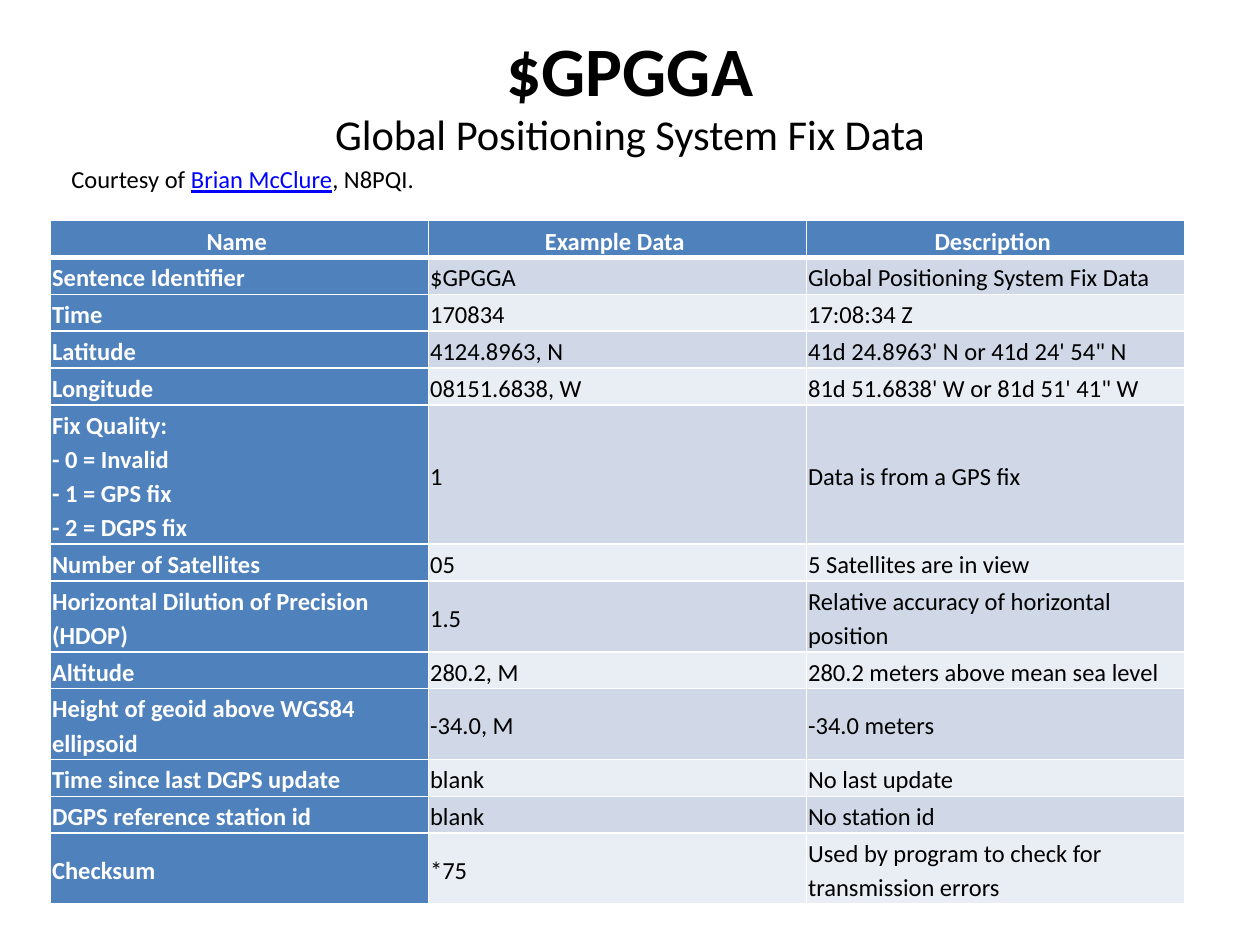
from lxml import etree
from pptx import Presentation
from pptx.dml.color import RGBColor
from pptx.enum.text import MSO_ANCHOR, PP_ALIGN
from pptx.oxml.ns import qn
from pptx.util import Cm, Pt

MIDDLE = MSO_ANCHOR.MIDDLE
LEFT, CENTER = PP_ALIGN.LEFT, PP_ALIGN.CENTER

COLORS = {
    "text": "000000",
    "white": "FFFFFF",
    "link": "0000FF",
    "header": "4F81BD",
    "band_dark": "D0D8E8",
    "band_light": "E9EDF4",
}

HEADER = ["Name ", "Example Data ", "Description "]
FIELDS = [
    ("Sentence Identifier", "$GPGGA", "Global Positioning System Fix Data"),
    ("Time", "170834", "17:08:34 Z"),
    ("Latitude", "4124.8963, N", "41d 24.8963' N or 41d 24' 54\" N"),
    ("Longitude", "08151.6838, W", "81d 51.6838' W or 81d 51' 41\" W"),
    ("Fix Quality:\n- 0 = Invalid\n- 1 = GPS fix\n- 2 = DGPS fix", "1", "Data is from a GPS fix"),
    ("Number of Satellites", "05", "5 Satellites are in view"),
    ("Horizontal Dilution of Precision (HDOP)", "1.5", "Relative accuracy of horizontal position"),
    ("Altitude", "280.2, M", "280.2 meters above mean sea level"),
    ("Height of geoid above WGS84 ellipsoid", "-34.0, M", "-34.0 meters"),
    ("Time since last DGPS update", "blank", "No last update"),
    ("DGPS reference station id", "blank", "No station id"),
    ("Checksum", "*75", "Used by program to check for transmission errors"),
]
LINE_COUNTS = [1, 1, 1, 1, 1, 4, 1, 2, 1, 2, 1, 1, 2]


def write(p, text, size=14, color="text", bold=False, underline=False, font="Calibri"):
    for i, line in enumerate(text.split("\n")):
        if i:
            p.add_line_break()
        r = p.add_run()
        r.text = line
        r.font.name = font
        r.font.size = Pt(size)
        r.font.bold = bold
        r.font.underline = underline
        r.font.color.rgb = RGBColor.from_string(COLORS[color])


class SlideBuilder:
    def __init__(self, slide):
        self.s = slide

    def text_box(self, left, top, width, height, lines, align=LEFT, spacing=1, insets=(0.13, 0.13)):
        sp = self.s.shapes.add_textbox(Cm(left), Cm(top), Cm(width), Cm(height))
        tf = sp.text_frame
        tf.word_wrap = True
        tf.vertical_anchor = MIDDLE
        tf.margin_top, tf.margin_bottom = map(Cm, insets)
        for i, runs in enumerate(lines):
            p = tf.add_paragraph() if i else tf.paragraphs[0]
            p.alignment = align
            p.line_spacing = spacing
            for text, fmt in runs:
                write(p, text, **fmt)

    def borders(self, cell, bottom):
        tc_pr = cell._tc.get_or_add_tcPr()
        widths = {"a:lnL": 1, "a:lnR": 1, "a:lnT": 1, "a:lnB": bottom}
        for i, (tag, width) in enumerate(widths.items()):
            ln = etree.Element(qn(tag), w=str(Pt(width)))
            fill = etree.SubElement(ln, qn("a:solidFill"))
            etree.SubElement(fill, qn("a:srgbClr"), val=COLORS["white"])
            tc_pr.insert(i, ln)

    def cell(self, cell, text, fill, align=LEFT, bottom=1, **fmt):
        cell.vertical_anchor = MIDDLE
        cell.margin_left = cell.margin_right = Cm(0.03)
        cell.margin_top = cell.margin_bottom = Cm(0.03)
        cell.fill.solid()
        cell.fill.fore_color.rgb = RGBColor.from_string(COLORS[fill])
        self.borders(cell, bottom)
        p = cell.text_frame.paragraphs[0]
        p.alignment = align
        p.line_spacing = 1.15
        write(p, text, **fmt)

    def table(self, left, top, width, header, rows, line_counts):
        heights = [Cm(0.05 + 0.69 * n) for n in line_counts]
        frame = self.s.shapes.add_table(
            len(rows) + 1, len(header), Cm(left), Cm(top), Cm(width), sum(heights))
        table = frame.table
        for row, height in zip(table.rows, heights):
            row.height = height
        for col, text in enumerate(header):
            self.cell(table.cell(0, col), text, "header", CENTER, 3, color="white", bold=True)
        for i, values in enumerate(rows, 1):
            band = "band_dark" if i % 2 else "band_light"
            for col, text in enumerate(values):
                if col == 0:
                    self.cell(table.cell(i, col), text, "header", color="white", bold=True)
                else:
                    self.cell(table.cell(i, col), text, band)


def main():
    prs = Presentation()
    prs.slide_width, prs.slide_height = Cm(25.4), Cm(19.05)
    builder = SlideBuilder(prs.slides.add_slide(prs.slide_layouts[6]))
    title = [
        [("$GPGGA", {"size": 39.6, "bold": True})],
        [("Global Positioning System Fix Data", {"size": 24.3})],
    ]
    builder.text_box(1.27, 0.76, 22.86, 3.18, title, CENTER, 0.95, (0, 0.79))
    builder.table(1.02, 4.45, 22.86, HEADER, FIELDS, LINE_COUNTS)
    courtesy = [
        ("Courtesy of ", {}),
        ("Brian McClure", {"color": "link", "underline": True}),
        (", N8PQI.", {}),
    ]
    builder.text_box(1.19, 3.18, 22.5, 0.86, [courtesy])
    prs.save("out.pptx")


if __name__ == "__main__":
    main()
